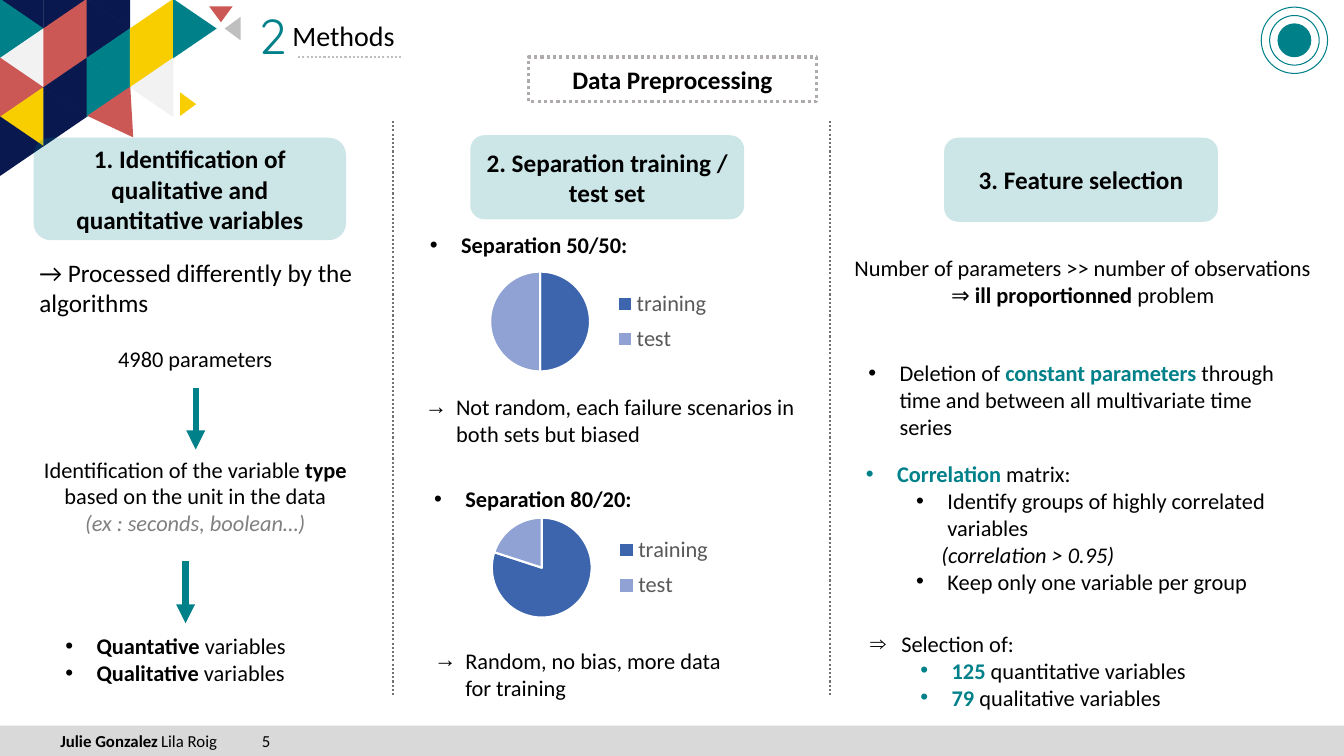
from pptx import Presentation
from pptx.chart.data import CategoryChartData
from pptx.dml.color import RGBColor
from pptx.enum.chart import XL_CHART_TYPE, XL_LEGEND_POSITION
from pptx.enum.dml import MSO_LINE
from pptx.enum.shapes import MSO_CONNECTOR, MSO_SHAPE
from pptx.enum.text import MSO_ANCHOR, PP_ALIGN
from pptx.oxml import parse_xml
from pptx.oxml.ns import nsdecls, qn
from pptx.oxml.xmlchemy import OxmlElement
from pptx.util import Inches, Pt

# The slide is a grid of 160 columns by 90 rows of square cells.
CELL = Inches(1) / 12
TEAL, NAVY, RED, YELLOW, PALE = "00818A", "09194F", "CC5856", "F9CE00", "F2F2F2"
BLACK = "000000"
# style: bold, italic, colour
STYLES = {"": (False, False, BLACK), "b": (True, False, BLACK), "i": (False, True, BLACK),
          "teal": (True, False, TEAL), "grey": (False, True, "808080")}
MOSAIC = [[NAVY, TEAL, PALE, RED, YELLOW, NAVY],
          [NAVY, RED, RED, NAVY, NAVY],
          [NAVY, NAVY, TEAL, TEAL],
          [None, YELLOW, YELLOW, PALE],
          [None, TEAL]]
LOOSE_TRIANGLES = [(14.4, 14.2, 6.2, 5.2, 145.9, RED), (26.3, 1.7, 2.8, 1.9, 180, RED),
                   (27.7, 3.4, 2.8, 1.9, 270, "BFBFBF"), (22.4, 12.4, 2.8, 1.9, 90, YELLOW)]


def cells(*counts):
    return [round(n * CELL) for n in counts]


def rgb(colour):
    return RGBColor.from_string(colour)


def add_child(parent, tag, **attributes):
    child = OxmlElement(tag)
    for name, value in attributes.items():
        child.set(name, str(value))
    parent.append(child)
    return child


def add_run(p, text, style="", size=16, font="Calibri"):
    r = p.add_run()
    r.text = text
    bold, italic, colour = STYLES[style]
    r.font.name, r.font.size = font, Pt(size)
    r.font.bold, r.font.italic = bold, italic
    r.font.color.rgb = rgb(colour)
    return r


def write(tf, paragraphs, size=16, align=PP_ALIGN.LEFT, anchor=MSO_ANCHOR.MIDDLE):
    """Fill a frame; a paragraph is (bullet, left indent in inches, *runs)."""
    tf.word_wrap = True
    tf.vertical_anchor = anchor
    for i, (bullet, indent, *runs) in enumerate(paragraphs):
        p = tf.paragraphs[0] if i == 0 else tf.add_paragraph()
        p.alignment = align
        pPr = p._p.get_or_add_pPr()
        pPr.set("marL", str(Inches(indent)))
        pPr.set("indent", str(Inches(-0.31) if bullet else 0))
        if bullet:
            add_child(pPr, "a:buFont", typeface="Arial")
            add_child(pPr, "a:buChar", char=bullet)
        for text, style in runs:
            add_run(p, text, style, size)


def add_text(s, box, paragraphs, **options):
    write(s.shapes.add_textbox(*cells(*box)).text_frame, paragraphs, **options)


def add_shape(s, kind, box, fill=None, line=None, width=0.75):
    sp = s.shapes.add_shape(kind, *cells(*box))
    sp.shadow.inherit = False
    if fill:
        sp.fill.solid()
        sp.fill.fore_color.rgb = rgb(fill)
    else:
        sp.fill.background()
    if line:
        sp.line.color.rgb = rgb(line)
        sp.line.width = Pt(width)
    else:
        sp.line.fill.background()
    return sp


def add_centred(s, kind, x, y, w, h, **options):
    return add_shape(s, kind, (x - w / 2, y - h / 2, w, h), **options)


def add_line(s, ends, colour, width, arrow=False):
    """Draw a dotted line, or a solid arrow."""
    cxn = s.shapes.add_connector(MSO_CONNECTOR.STRAIGHT, *cells(*ends))
    cxn.line.color.rgb = rgb(colour)
    cxn.line.width = Pt(width)
    if arrow:
        add_child(cxn.line._get_or_add_ln(), "a:tailEnd", type="triangle")
    else:
        cxn.line.dash_style = MSO_LINE.ROUND_DOT
    add_child(cxn._element.spPr, "a:effectLst")


def add_heading(s, box, text):
    sp = add_shape(s, MSO_SHAPE.ROUNDED_RECTANGLE, box, fill=TEAL)
    add_child(sp._element.spPr.find(qn("a:solidFill"))[0], "a:alpha", val=20000)
    write(sp.text_frame, [("", 0, (text, "b"))], size=18, align=PP_ALIGN.CENTER)


def set_layout(parent, index, x, y, w, h):
    """Place a chart part by shares of the chart's size."""
    for old in parent.findall(qn("c:layout")):
        parent.remove(old)
    target = '<c:layoutTarget val="inner"/>' if index == 0 else ""
    parent.insert(index, parse_xml(
        f'<c:layout {nsdecls("c")}><c:manualLayout>{target}'
        '<c:xMode val="edge"/><c:yMode val="edge"/>'
        f'<c:x val="{x}"/><c:y val="{y}"/><c:w val="{w}"/><c:h val="{h}"/>'
        '</c:manualLayout></c:layout>'))


def add_pie(s, left, top, values):
    data = CategoryChartData()
    data.categories = ["training", "test"]
    data.add_series("Series 1", values)
    chart = s.shapes.add_chart(XL_CHART_TYPE.PIE, *cells(left, top, 43.4, 20.5), data).chart
    chart.has_title = False
    chart.font.name, chart.font.size = "Calibri", Pt(10)
    chart.has_legend = True
    legend = chart.legend
    legend.position = XL_LEGEND_POSITION.RIGHT
    legend.include_in_layout = False
    legend.font.name, legend.font.size = "Calibri", Pt(16)
    legend.font.color.rgb = rgb("595959")
    plot = chart.plots[0]
    plot.vary_by_categories = True
    for i, colour in enumerate(["3C65AE", "90A2D3"]):
        fmt = plot.series[0].points[i].format
        fmt.fill.solid()
        fmt.fill.fore_color.rgb = rgb(colour)
        fmt.line.color.rgb = rgb("FFFFFF")
        fmt.line.width = Pt(1.5)
    set_layout(chart._chartSpace.xpath("c:chart/c:plotArea")[0], 0, 0.36, 0.08, 0.28, 0.58)
    set_layout(legend._element, 1, 0.7, 0.14, 0.27, 0.46)


def add_mosaic(s):
    triangles = [(2.6 + 5.15 * col, -0.1 + 3.5 * row, 7.1, 5.2, 90 if (col + row) % 2 else 270, fill)
                 for col, column in enumerate(MOSAIC) for row, fill in enumerate(column) if fill]
    for x, y, w, h, turn, fill in triangles + LOOSE_TRIANGLES:
        add_centred(s, MSO_SHAPE.ISOSCELES_TRIANGLE, x, y, w, h, fill=fill).rotation = turn


def add_footer(s):
    tf = add_shape(s, MSO_SHAPE.RECTANGLE, (0, 86.4, 160, 3.6), fill="D9D9D9").text_frame
    write(tf, [("", 0, ("\tJulie Gonzalez", "b"), ("\tLila Roig\t5", ""))], size=12)
    tabs = add_child(tf.paragraphs[0]._p.get_or_add_pPr(), "a:tabLst")
    for stop in (4.56, 6.24, 11.6):
        add_child(tabs, "a:tab", pos=Inches(stop), algn="l")


def add_frame(s):
    add_mosaic(s)
    add_footer(s)
    title = s.shapes.title
    title.left, title.top, title.width, title.height = cells(33.6, 1.6, 17.5, 5.3)
    write(title.text_frame, [("", 0, ("Methods", ""))], size=20, anchor=MSO_ANCHOR.TOP)
    number = s.shapes.add_textbox(*cells(29.6, 0.1, 13.7, 11.3)).text_frame
    add_run(number.paragraphs[0], "2", size=35, font="Quicksand").font.color.rgb = rgb(TEAL)
    add_line(s, (35.5, 6.8, 48, 6.8), "BFBFBF", 1.5)
    for size, fill in ((7.9, None), (5.9, None), (3.9, TEAL)):
        add_centred(s, MSO_SHAPE.OVAL, 154.1, 4.8, size, size, fill=fill, line=TEAL)
    topic = add_shape(s, MSO_SHAPE.RECTANGLE, (62.9, 6.8, 34.3, 5.3), line="AFABAB", width=2.25)
    topic.line.dash_style = MSO_LINE.ROUND_DOT
    write(topic.text_frame, [("", 0, ("Data Preprocessing", "b"))], size=18, align=PP_ALIGN.CENTER)
    for x in (46.8, 98.8):
        add_line(s, (x, 14.4, x, 82.7), "767171", 1.5)


def add_identification(s):
    add_heading(s, (4, 16.4, 37.2, 12.2), "1. Identification of qualitative and quantitative variables")
    add_text(s, (3.5, 30, 39.7, 8), [("", 0, ("→ Processed differently by the algorithms", ""))],
             size=18, anchor=MSO_ANCHOR.TOP)
    add_text(s, (6.1, 40, 34.3, 5.3), [("", 0, ("4980 parameters", ""))], align=PP_ALIGN.CENTER)
    add_line(s, (23.3, 46.2, 23.3, 53.5), TEAL, 4.5, arrow=True)
    add_text(s, (1, 51.8, 44.5, 14.5), [
        ("", 0, ("Identification of the variable ", ""), ("type ", "b"), ("based on the unit in the data", "")),
        ("", 0, ("(ex : seconds, boolean…)", "grey"))], align=PP_ALIGN.CENTER)
    add_line(s, (22.1, 66.8, 22.1, 74.2), TEAL, 4.5, arrow=True)
    add_text(s, (6.6, 72.7, 38.4, 11.6), [("•", 0.31, (kind, "b"), (" variables", ""))
                                          for kind in ("Quantative", "Qualitative")])


def add_separation(s):
    add_heading(s, (56, 16.1, 32.6, 10), "2. Separation training / test set")
    add_text(s, (50, 24.7, 42.6, 8.8), [("•", 0.31, ("Separation 50/50:", "b"))])
    add_pie(s, 42.6, 30.7, (50, 50))
    add_text(s, (49.4, 45.6, 47, 8.8),
             [("→", 0.31, ("Not random, each failure scenarios in both sets but biased", ""))])
    add_text(s, (50.5, 55, 42.6, 8.8), [("•", 0.31, ("Separation 80/20:", "b"))])
    add_pie(s, 42.8, 60, (80, 20))
    add_text(s, (50.5, 75.6, 38.4, 9.2), [("→", 0.31, ("Random, no bias, more data for training", ""))])


def add_selection(s):
    add_heading(s, (112.4, 16.4, 32.6, 10), "3. Feature selection")
    add_text(s, (97.1, 26.9, 63.6, 13.2), [
        ("", 0, ("Number of parameters >> number of observations", "")),
        ("", 0, ("⇒ ", ""), ("ill proportionned ", "b"), ("problem", ""))], align=PP_ALIGN.CENTER)
    add_text(s, (102.2, 42, 54, 11.2), [
        ("•", 0.31, ("Deletion of ", ""), ("constant parameters ", "teal"),
         ("through time and between all multivariate time series", ""))])
    add_text(s, (101.9, 54.4, 54, 16.8), [
        ("•", 0.31, ("Correlation", "teal"), (" matrix:", "")),
        ("•", 0.81, ("Identify groups of highly correlated variables", "")),
        ("", 0.75, ("(correlation > 0.95)", "i")),
        ("•", 0.81, ("Keep only one variable per group", ""))])
    add_text(s, (102.4, 74.9, 45.4, 9.8), [
        ("⇒", 0.31, ("Selection of:", "")),
        ("•", 0.81, ("125", "teal"), (" quantitative variables", "")),
        ("•", 0.81, ("79", "teal"), (" qualitative variables", ""))])


def main():
    prs = Presentation()
    prs.slide_width, prs.slide_height = cells(160, 90)
    s = prs.slides.add_slide(prs.slide_layouts[5])
    add_frame(s)
    add_identification(s)
    add_separation(s)
    add_selection(s)
    prs.save("out.pptx")


if __name__ == "__main__":
    main()
